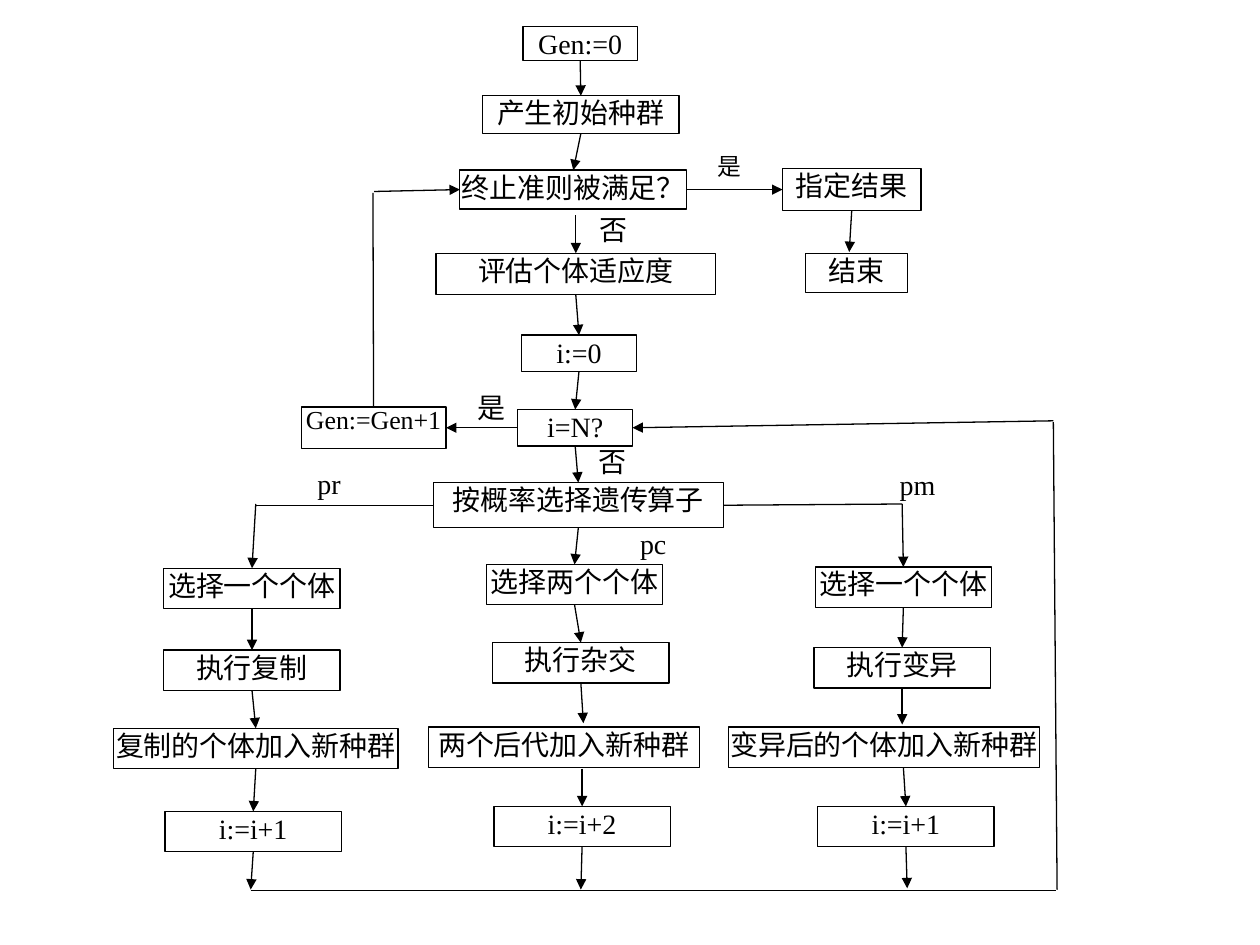
from collections import namedtuple

from lxml.etree import SubElement
from pptx import Presentation
from pptx.dml.color import RGBColor
from pptx.enum.shapes import MSO_CONNECTOR, MSO_SHAPE, MSO_SHAPE_TYPE
from pptx.enum.text import MSO_ANCHOR, PP_ALIGN
from pptx.oxml.ns import qn
from pptx.util import Pt

EMU_PER_PX = 9144
BLACK = RGBColor(0, 0, 0)
FONT = "Times New Roman"
JOIN_REACH = 4
BRANCH_BOX_HEIGHT = 32
BRANCH_ARROW = 30
MAIN_ARROW = 28

Region = namedtuple("Region", "left top width height")


def px(length):
    return length * EMU_PER_PX


def write(shape, text, size, align, spacing=None, margins=(0, 0)):
    frame = shape.text_frame
    frame.text = text
    frame.word_wrap = True
    frame.vertical_anchor = MSO_ANCHOR.TOP
    frame.margin_left = frame.margin_right = px(margins[0])
    frame.margin_top = frame.margin_bottom = px(margins[1])
    para = frame.paragraphs[0]
    para.alignment = align
    if spacing:
        para.line_spacing = spacing
    for span in para.runs:
        span.font.size = Pt(size)
        span.font.name = FONT
        span.font.color.rgb = BLACK


def add_box(page, region, left, top, width, height, text, size=16, spacing=None):
    box = page.shapes.add_shape(
        MSO_SHAPE.RECTANGLE, px(region.left + left), px(region.top + top), px(width), px(height)
    )
    box.shadow.inherit = False
    box.fill.background()
    box.line.color.rgb = BLACK
    box.line.width = Pt(0.75)
    write(box, text, size, PP_ALIGN.CENTER, spacing)


def add_answer(page, region, left, top, text, width=48, height=40, size=16, spacing=None):
    answer = page.shapes.add_textbox(
        px(region.left + left), px(region.top + top), px(width), px(height)
    )
    write(answer, text, size, PP_ALIGN.CENTER, spacing, (10, 5))


def add_probability(page, region, left, top, text):
    label = page.shapes.add_textbox(px(region.left + left), px(region.top + top), px(43), px(30))
    write(label, text, 16, PP_ALIGN.JUSTIFY)


def join_near(page, x, y, connect):
    reach = px(JOIN_REACH)
    for box in page.shapes:
        if box.shape_type != MSO_SHAPE_TYPE.AUTO_SHAPE:
            continue
        right, bottom = box.left + box.width, box.top + box.height
        center, middle = box.left + box.width // 2, box.top + box.height // 2
        sides = ((center, box.top), (box.left, middle), (center, bottom), (right, middle))
        for site, (side_x, side_y) in enumerate(sides):
            if abs(side_x - x) <= reach and abs(side_y - y) <= reach:
                connect(box, site)
                return


def add_line(page, region, start, end, arrow=True):
    x1, y1 = px(region.left + start[0]), px(region.top + start[1])
    x2, y2 = px(region.left + end[0]), px(region.top + end[1])
    line = page.shapes.add_connector(MSO_CONNECTOR.STRAIGHT, x1, y1, x2, y2)
    line.line.color.rgb = BLACK
    line.line.width = Pt(0.75)
    if arrow:
        SubElement(line.line._get_or_add_ln(), qn("a:tailEnd"), type="triangle")
    SubElement(line._element.spPr, qn("a:effectLst"))
    join_near(page, x1, y1, line.begin_connect)
    join_near(page, x2, y2, line.end_connect)


def main_flow(page, region):
    steps = [
        (71, 0, 91, 27, "Gen:=0"),
        (39, 55, 156, 30, "产生初始种群"),
        (21, 114, 180, 31, "终止准则被满足？"),
        (2, 180, 222, 33, "评估个体适应度"),
        (70, 245, 91, 29, "i:=0"),
        (67, 304, 91, 29, "i=N?"),
        (0, 362, region.width, 36, "按概率选择遗传算子"),
    ]
    for step in steps:
        add_box(page, region, *step)
    for x, y in [(115, 28), (115, 86), (113, 150), (113, 215), (114, 274), (115, 332)]:
        add_line(page, region, (x, y), (x - 1, y + MAIN_ARROW))
    add_answer(page, region, 119, 143, "否")
    add_answer(page, region, 118, 327, "否")


def result_exit(page, region):
    add_box(page, region, 74, 16, 110, 33, "指定结果")
    add_box(page, region, 92, 83, 81, 31, "结束")
    add_line(page, region, (0, 34), (74, 33))
    add_line(page, region, (127, 50), (127, 82))
    add_answer(page, region, 10, 0, "是", 43, 35, 13.6, 0.9)


def generation_loop(page, region):
    add_box(page, region, 0, 171, 115, 33, "Gen:=Gen+1", 14.8, 0.9)
    add_line(page, region, (region.width, 188), (117, 188))
    add_line(page, region, (58, 168), (57, 1), arrow=False)
    add_line(page, region, (58, 0), (128, 0))
    add_answer(page, region, 127, 153, "是")


def branch(page, region, steps, arrows):
    for left, top, width, text in steps:
        add_box(page, region, left, top, width, BRANCH_BOX_HEIGHT, text)
    for x, y in arrows:
        add_line(page, region, (x, y), (x, y + BRANCH_ARROW))


def operator_choice(page, region):
    add_line(page, region, (141, 30), (0, 31), arrow=False)
    add_line(page, region, (0, 30), (0, 80))
    add_line(page, region, (253, 48), (253, 78))
    add_line(page, region, (372, 31), (region.width, 30), arrow=False)
    add_line(page, region, (region.width, 30), (region.width, 80))
    for left, top, text in [(49, 0, "pr"), (305, 48, "pc"), (511, 1, "pm")]:
        add_probability(page, region, left, top, text)


def return_path(page, region):
    add_line(page, region, (0, 373), (639, 373), arrow=False)
    add_line(page, region, (region.width, 372), (637, 1), arrow=False)
    add_line(page, region, (637, 0), (302, 3))


def main():
    deck = Presentation()
    deck.slide_width, deck.slide_height = px(1000), px(750)
    page = deck.slides.add_slide(deck.slide_layouts[6])
    main_flow(page, Region(344, 21, 230, 398))
    result_exit(page, Region(547, 118, 184, 114))
    generation_loop(page, Region(239, 152, 172, 204))
    branch(
        page,
        Region(90, 451, 226, 255),
        [(40, 0, 140, "选择一个个体"), (40, 65, 140, "执行复制"),
         (0, 127, 226, "复制的个体加入新种群"), (41, 193, 140, "i:=i+1")],
        [(111, 34), (112, 98), (110, 161), (109, 225)],
    )
    branch(
        page,
        Region(340, 448, 215, 258),
        [(46, 0, 140, "选择两个个体"), (51, 62, 140, "执行杂交"),
         (0, 129, 215, "两个后代加入新种群"), (52, 192, 140, "i:=i+2")],
        [(117, 32), (123, 96), (122, 162), (121, 228)],
    )
    branch(
        page,
        Region(578, 450, 247, 255),
        [(69, 0, 140, "选择一个个体"), (68, 64, 140, "执行变异"),
         (0, 127, 247, "变异后的个体加入新种群"), (71, 190, 140, "i:=i+1")],
        [(139, 34), (138, 95), (139, 159), (142, 225)],
    )
    operator_choice(page, Region(203, 370, 513, 80))
    return_path(page, Region(199, 334, 640, 373))
    deck.save("out.pptx")


if __name__ == "__main__":
    main()
